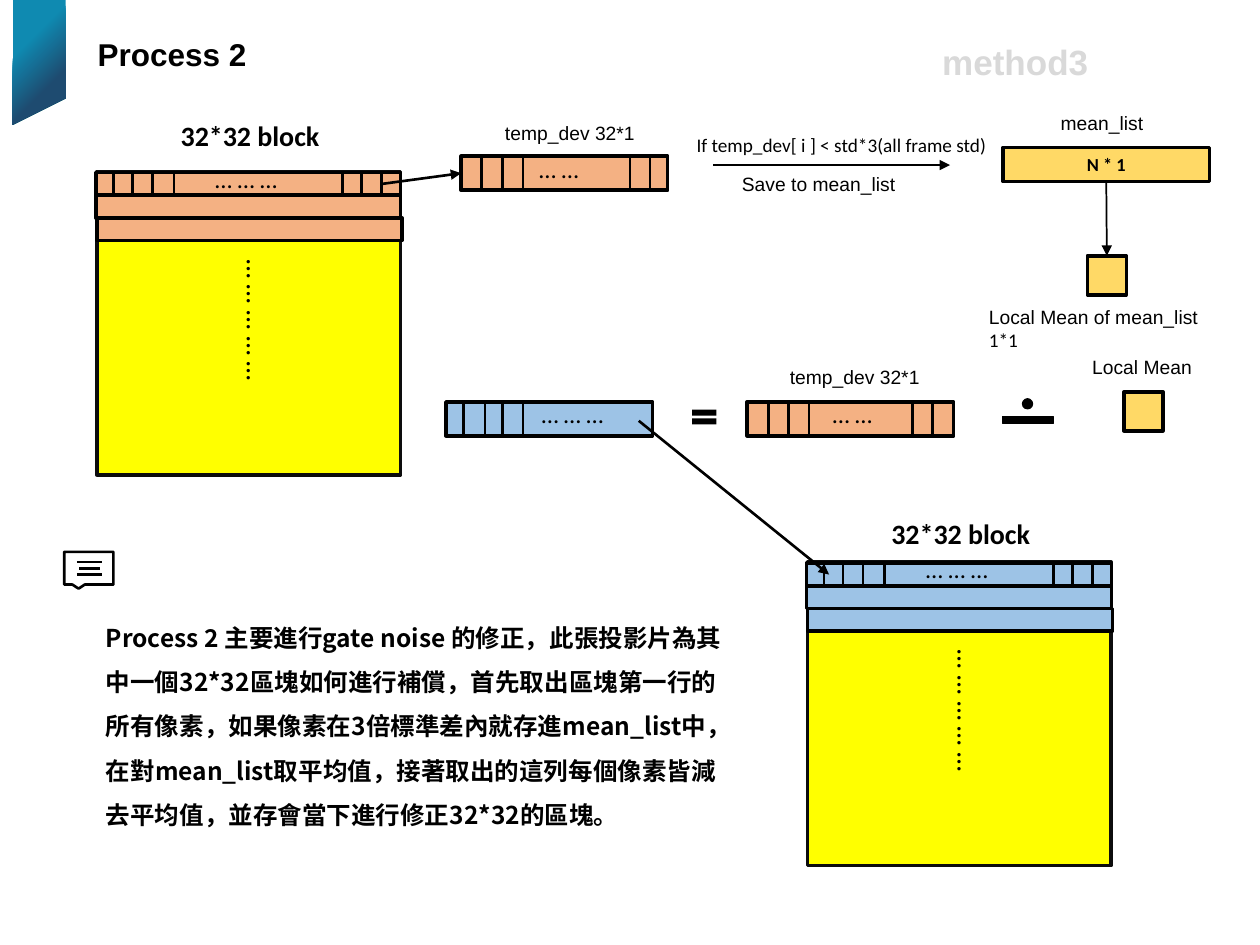
from pptx import Presentation
from pptx.dml.color import RGBColor
from pptx.enum.shapes import MSO_CONNECTOR, MSO_SHAPE
from pptx.enum.text import MSO_ANCHOR, MSO_AUTO_SIZE, PP_ALIGN
from pptx.oxml.ns import qn
from pptx.util import Inches, Pt
from lxml.etree import SubElement

HUE = {"ink": "000000", "edge": "0D0D0D", "orange": "F4B183", "blue": "9DC3E6",
       "gold": "FFD966", "yellow": "FFFF00", "pale": "D9D9D9",
       "teal": "0F8AB1", "navy": "1E4B70"}
CJK = "Noto Sans CJK SC"


def rgb(name):
    return RGBColor.from_string(HUE[name])


class Board:
    def __init__(self, slide):
        self.slide = slide
        self.shapes = slide.shapes

    def place(self, shape, x, y, w, h):
        shape.left, shape.top = Inches(x), Inches(y)
        shape.width, shape.height = Inches(w), Inches(h)

    def run(self, para, text, size, font="Arial", bold=False, hue="ink"):
        run = para.add_run()
        run.text = text
        run.font.size, run.font.name, run.font.bold = Pt(size), font, bold
        run.font.color.rgb = rgb(hue)
        if font == CJK:
            SubElement(run._r.get_or_add_rPr(), qn("a:ea"), typeface=font)

    def text(self, x, y, w, h, runs, align=PP_ALIGN.LEFT, turn=0):
        """Each run is (text, size, font, bold, hue), the last three optional."""
        box = self.shapes.add_textbox(Inches(x), Inches(y), Inches(w), Inches(h))
        box.rotation = turn
        frame = box.text_frame
        frame.word_wrap = False
        frame.auto_size = MSO_AUTO_SIZE.SHAPE_TO_FIT_TEXT
        para = frame.paragraphs[0]
        para.alignment = align
        for run in runs:
            self.run(para, *run)

    def label(self, x, y, w, text, font="Arial"):
        self.text(x, y, w, 0.29, [(text, 11, font)])

    def dots(self, x, y, count):
        w = 0.9 if count == 3 else 0.65
        self.text(x, y, w, 0.34, [(" ".join("…" * count), 14, "Calibri")])

    def box(self, x, y, w, h, fill, line="ink", width=2, kind=MSO_SHAPE.RECTANGLE):
        shape = self.shapes.add_shape(kind, Inches(x), Inches(y), Inches(w), Inches(h))
        shape.shadow.inherit = False
        if fill:
            shape.fill.solid()
            shape.fill.fore_color.rgb = rgb(fill)
        else:
            shape.fill.background()
        if line:
            shape.line.color.rgb = rgb(line)
            shape.line.width = Pt(width)
        else:
            shape.line.fill.background()
        return shape

    def line(self, x1, y1, x2, y2, width=1.5, arrow=False):
        link = self.shapes.add_connector(MSO_CONNECTOR.STRAIGHT, Inches(x1),
                                         Inches(y1), Inches(x2), Inches(y2))
        link.line.color.rgb = rgb("ink")
        link.line.width = Pt(width)
        props = link._element.spPr
        if arrow:
            SubElement(props.find(qn("a:ln")), qn("a:tailEnd"), type="triangle")
        SubElement(props, qn("a:effectLst"))
        return link

    def ticks(self, x, y, h, steps):
        for step in steps:
            self.line(x + step, y, x + step, y + h)

    def strip(self, x, y, fill, steps, gap, count):
        shape = self.box(x, y, 1.64, 0.27, fill)
        self.ticks(x, y + 0.01, 0.26, steps)
        self.dots(x + gap, y - 0.07, count)
        return shape

    def block(self, x, y, fill, rise):
        self.text(x + 0.18, y - rise, 2.07, 0.37,
                  [("32*32 block", 16, "Calibri", True)], PP_ALIGN.CENTER)
        self.box(x, y, 2.41, 2.41, "yellow", "edge")
        for i, shift in enumerate((-0.01, -0.01, 0)):
            self.box(x + shift, y + 0.01 + 0.18 * i, 2.42, 0.18, fill)
        self.text(x + 0.35, y + 1.07, 1.58, 0.64,
                  [("… … … … …", 16, "Calibri")], turn=90)
        self.ticks(x, y + 0.01, 0.18, (0.13, 0.28, 0.44, 0.61, 1.95, 2.1, 2.26))
        self.dots(x + 0.84, y - 0.11, 3)

    def ribbon(self):
        pen = self.shapes.build_freeform(Inches(0.1), Inches(0.99), scale=1.0)
        pen.add_line_segments([(Inches(a), Inches(b)) for a, b in
                               ((0.52, 0.78), (0.52, 0), (0.1, 0))], close=True)
        shape = pen.convert_to_shape()
        shape.shadow.inherit = False
        shape.line.fill.background()
        shape.fill.gradient()
        shape.fill.gradient_angle = 315
        for stop, (spot, hue) in zip(shape.fill.gradient_stops,
                                     ((0.32, "teal"), (0.7, "navy"))):
            stop.position = spot
            stop.color.rgb = rgb(hue)

    def holder(self, shape, spot, lines, size, font, space, align):
        self.place(shape, *spot)
        frame = shape.text_frame
        frame.word_wrap = True
        frame.auto_size = MSO_AUTO_SIZE.SHAPE_TO_FIT_TEXT
        frame.vertical_anchor = MSO_ANCHOR.TOP
        for i, words in enumerate(lines):
            para = frame.add_paragraph() if i else frame.paragraphs[0]
            props = para._p.get_or_add_pPr()
            props.set("marL", "0")
            props.set("indent", "0")
            SubElement(props, qn("a:buNone"))
            para.alignment, para.line_spacing = align, space
            para.space_before = Pt(0)
            self.run(para, words, size, font, True)


def main():
    deck = Presentation()
    deck.slide_width, deck.slide_height = Inches(10), Inches(7.5)
    slide = deck.slides.add_slide(deck.slide_layouts[1])
    b = Board(slide)

    # Title, ribbon and method tag
    b.ribbon()
    b.holder(slide.shapes.title, (0.27, 0.14, 2.19, 0.45), ["Process 2"],
             18, "Arial", 1.3, PP_ALIGN.CENTER)
    b.text(7.38, 0.27, 1.37, 0.44, [("method3", 20, "Arial", True, "pale")])

    # Explanation
    b.holder(slide.placeholders[1], (0.74, 4.78, 5.2, 1.87), [
        "Process 2 主要進行gate noise 的修正，此張投影片為其中一個32*32區塊如何進行補償，"
        "首先取出區塊第一行的所有像素，如果像素在3倍標準差內就存進mean_list中，",
        "在對mean_list取平均值，接著取出的這列每個像素皆減",
        "去平均值，並存會當下進行修正32*32的區塊。"], 14, CJK, 1.5, PP_ALIGN.LEFT)

    # Source and corrected blocks
    b.block(0.77, 1.36, "orange", 0.47)
    b.block(6.41, 4.46, "blue", 0.41)

    # First row taken out and filtered
    b.label(3.91, 0.91, 1.23, "temp_dev 32*1")
    row = b.strip(3.66, 1.24, "orange", (0.16, 0.33, 0.49, 1.34, 1.5), 0.52, 2)
    b.line(3.03, 1.46, 3.66, 1.38, arrow=True).end_connect(row, 1)
    b.label(5.43, 1.01, 2.54, "If temp_dev[ i ] < std*3(all frame std)", "Calibri")
    b.line(5.66, 1.31, 7.54, 1.31, 1, True)
    b.label(5.79, 1.32, 1.43, "Save to mean_list")

    # Mean list and its local mean
    b.label(8.32, 0.83, 0.86, "mean_list")
    means = b.box(7.96, 1.17, 1.64, 0.27, "gold")
    frame = means.text_frame
    frame.vertical_anchor = MSO_ANCHOR.MIDDLE
    frame.paragraphs[0].alignment = PP_ALIGN.CENTER
    b.run(frame.paragraphs[0], "N * 1", 10.5, "Calibri", True)
    local = b.box(8.63, 2.03, 0.31, 0.31, "gold")
    drop = b.line(8.78, 1.44, 8.78, 2.03, 1, True)
    drop.begin_connect(means, 2)
    drop.end_connect(local, 0)
    b.text(7.75, 2.37, 2.13, 0.29, [("Local Mean of mean_list ", 11),
                                    ("1*1", 11, "Calibri")])

    # Equation: corrected row = temp_dev ÷ local mean
    b.strip(3.54, 3.19, "blue", (0.14, 0.31, 0.45, 0.61), 0.66, 3)
    b.box(5.46, 3.21, 0.26, 0.2, "ink", None, kind=MSO_SHAPE.MATH_EQUAL)
    b.label(6.17, 2.85, 1.23, "temp_dev 32*1")
    b.strip(5.93, 3.19, "orange", (0.17, 0.33, 0.49, 1.31, 1.47), 0.58, 2)
    b.box(7.88, 3.21, 0.55, 0.24, "ink", width=0.25, kind=MSO_SHAPE.MATH_MINUS)
    b.box(8.11, 3.16, 0.09, 0.09, "ink", None, kind=MSO_SHAPE.OVAL)
    b.label(8.57, 2.77, 1, "Local Mean")
    b.box(8.92, 3.11, 0.31, 0.31, "gold")
    b.line(5.07, 3.34, 6.58, 4.56, arrow=True)

    # Comment icon
    b.box(0.51, 4.38, 0.39, 0.26, None, width=1.5,
          kind=MSO_SHAPE.RECTANGULAR_CALLOUT)
    for i, inset in enumerate((0, 0.02, 0)):
        y = 4.46 + 0.05 * i
        b.line(0.61 + inset, y, 0.81 - inset, y)

    deck.save("out.pptx")


if __name__ == "__main__":
    main()
